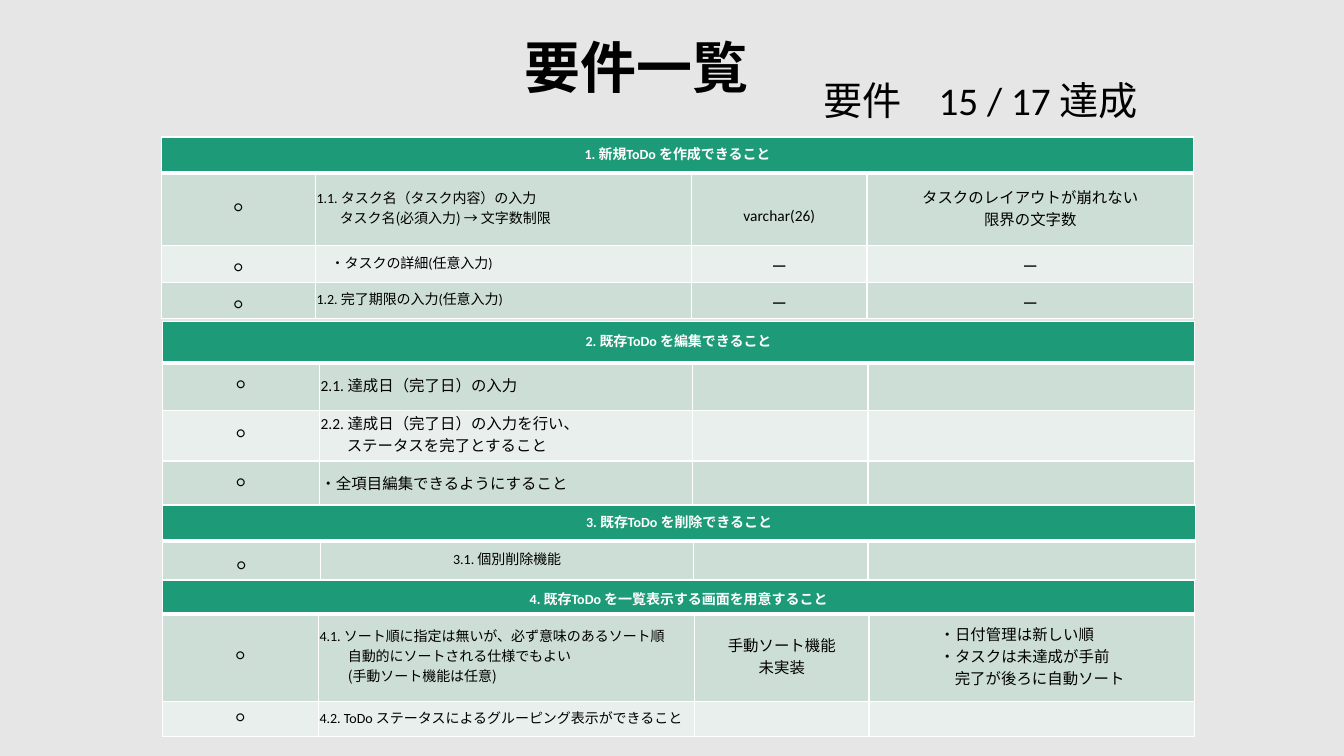
from pptx import Presentation
from pptx.dml.color import RGBColor
from pptx.enum.text import MSO_ANCHOR as Anchor, PP_ALIGN as Align
from pptx.oxml import parse_xml
from pptx.oxml.ns import nsdecls
from pptx.util import Inches, Pt

LATIN, JAPANESE = "Calibri", "Noto Sans CJK JP"
GREEN, BANDS = "1D9A78", ("CDDED6", "E8EFEC")
WHITE, BLACK = "FFFFFF", "000000"

TITLE = "要件一覧"
SUMMARY = "要件\t15 / 17 達成"


def entry(*lines, size=11, fonts=(LATIN,), align=Align.LEFT,
          anchor=Anchor.MIDDLE, indents=(0,), top=0.01):
    """One cell; the last font and the last indent hold for further lines."""
    return dict(lines=lines, size=size, fonts=fonts, align=align,
                anchor=anchor, indents=indents, top=top)


def centered(*lines, **options):
    return entry(*lines, align=Align.CENTER, **options)


EMPTY = entry("")
DONE = centered("○")
DONE_LOW = centered("○", anchor=Anchor.BOTTOM)
DASH_ARIAL = centered("ー", fonts=("Arial",), anchor=Anchor.BOTTOM)
DASH = centered("ー", fonts=(JAPANESE,), anchor=Anchor.BOTTOM)

# Each section: heading, position, column widths, row heights, body rows
SECTIONS = [
    dict(heading="1. 新規ToDo を作成できること", at=(1.6, 1.36),
         columns=(1.53, 3.73, 1.74, 3.24), heights=(0.36, 0.72, 0.36, 0.36),
         rows=[
             (DONE,
              entry("1.1. タスク名（タスク内容）の入力", "タスク名(必須入力) → 文字数制限",
                    size=10, fonts=(LATIN, JAPANESE), indents=(0, 0.23)),
              centered("varchar(26)", top=0.19),
              centered("タスクのレイアウトが崩れない", "限界の文字数", fonts=(JAPANESE,))),
             (DONE_LOW, entry("・タスクの詳細(任意入力)", size=10, indents=(0.14,)),
              DASH_ARIAL, DASH_ARIAL),
             (DONE_LOW, entry("1.2. 完了期限の入力(任意入力)", size=10), DASH, DASH),
         ]),
    dict(heading="2. 既存ToDo を編集できること", at=(1.61, 3.19),
         columns=(1.56, 3.7, 1.74, 3.24), heights=(0.41, 0.47, 0.49, 0.47),
         rows=[
             (DONE, entry("2.1. 達成日（完了日）の入力"), EMPTY, EMPTY),
             (DONE, entry("2.2. 達成日（完了日）の入力を行い、", "ステータスを完了とすること",
                          indents=(0, 0.26)), EMPTY, EMPTY),
             (DONE, entry("・全項目編集できるようにすること"), EMPTY, EMPTY),
         ]),
    dict(heading="3. 既存ToDo を削除できること", at=(1.61, 5.01),
         columns=(1.57, 3.7, 1.73, 3.25), heights=(0.36, 0.38),
         rows=[(DONE_LOW, centered("3.1. 個別削除機能", size=10), EMPTY, EMPTY)]),
    dict(heading="4. 既存ToDo を一覧表示する画面を用意すること", at=(1.61, 5.76),
         columns=(1.55, 3.73, 1.73, 3.23), heights=(0.33, 0.87, 0.35),
         heading_anchor=Anchor.BOTTOM,
         rows=[
             (DONE,
              entry("4.1. ソート順に指定は無いが、必ず意味のあるソート順",
                    "自動的にソートされる仕様でもよい", "(手動ソート機能は任意)",
                    size=10, fonts=(LATIN, JAPANESE), indents=(0, 0.28)),
              centered("手動ソート機能", "未実装", fonts=(JAPANESE,)),
              entry("・日付管理は新しい順", "・タスクは未達成が手前", "完了が後ろに自動ソート",
                    fonts=(JAPANESE,), indents=(0.69, 0.69, 0.84))),
             (DONE, entry("4.2. ToDo ステータスによるグルーピング表示ができること", size=10),
              EMPTY, EMPTY),
         ]),
]


def color(value):
    return RGBColor.from_string(value)


def style_font(font, size, name=LATIN, fill=BLACK, bold=False):
    font.size, font.name, font.bold = Pt(size), name, bold
    font.color.rgb = color(fill)


def set_borders(cell, top, bottom):
    properties = cell._tc.get_or_add_tcPr()
    for side, points in (("L", 1), ("R", 1), ("T", top), ("B", bottom)):
        properties.append(parse_xml(
            f'<a:ln{side} {nsdecls("a")} w="{Pt(points)}"><a:solidFill>'
            f'<a:srgbClr val="{WHITE}"/></a:solidFill></a:ln{side}>'))


def fill_cell(cell, content, fill, text_color=BLACK, bold=False):
    cell.fill.solid()
    cell.fill.fore_color.rgb = color(fill)
    cell.margin_left = cell.margin_right = Inches(0.01)
    cell.margin_top, cell.margin_bottom = Inches(content["top"]), Inches(0.05)
    cell.vertical_anchor = content["anchor"]
    frame = cell.text_frame
    fonts, indents = content["fonts"], content["indents"]
    for index, line in enumerate(content["lines"]):
        paragraph = frame.add_paragraph() if index else frame.paragraphs[0]
        paragraph.alignment = content["align"]
        indent = indents[min(index, len(indents) - 1)]
        if indent:
            paragraph._p.get_or_add_pPr().set("marL", str(Inches(indent)))
        if not line:
            paragraph.font.size = Pt(content["size"])
            continue
        run = paragraph.add_run()
        run.text = line
        name = fonts[min(index, len(fonts) - 1)]
        style_font(run.font, content["size"], name, text_color, bold)


def add_section(slide, section):
    columns, heights = section["columns"], section["heights"]
    left, top = section["at"]
    table = slide.shapes.add_table(
        len(heights), len(columns), Inches(left), Inches(top),
        Inches(sum(columns)), Inches(sum(heights))).table
    table.first_row = table.horz_banding = False
    for column, width in zip(table.columns, columns):
        column.width = Inches(width)
    for row, height in zip(table.rows, heights):
        row.height = Inches(height)

    # Heading across all columns, with a thick rule below
    for cell in table.rows[0].cells:
        set_borders(cell, top=1, bottom=3)
    heading = table.cell(0, 0)
    heading.merge(table.cell(0, len(columns) - 1))
    anchor = section.get("heading_anchor", Anchor.MIDDLE)
    fill_cell(heading, centered(section["heading"], size=10, anchor=anchor),
              GREEN, WHITE, bold=True)

    # Banded body rows
    for number, contents in enumerate(section["rows"]):
        for cell, content in zip(table.rows[number + 1].cells, contents):
            set_borders(cell, top=1 if number else 3, bottom=1)
            fill_cell(cell, content, BANDS[number % 2])


def main():
    presentation = Presentation()
    presentation.slide_width, presentation.slide_height = Inches(13.33), Inches(7.5)
    slide = presentation.slides.add_slide(presentation.slide_layouts[5])
    slide.background.fill.solid()
    slide.background.fill.fore_color.rgb = color("E7E6E6")

    # Title
    title = slide.shapes.title
    title.left, title.top = Inches(5.1), Inches(0.27)
    title.width, title.height = Inches(2.53), Inches(0.77)
    title.text_frame.word_wrap = False
    paragraph = title.text_frame.paragraphs[0]
    paragraph.alignment = Align.LEFT
    run = paragraph.add_run()
    run.text = TITLE
    style_font(run.font, 40, bold=True)

    # Requirement tables
    for section in SECTIONS:
        add_section(slide, section)

    # Achievement count, with a tab after its label
    summary = slide.shapes.add_textbox(
        Inches(8.07), Inches(0.71), Inches(3.63), Inches(0.57))
    summary.text_frame.word_wrap = True
    paragraph = summary.text_frame.paragraphs[0]
    paragraph._p.get_or_add_pPr().append(parse_xml(
        f'<a:tabLst {nsdecls("a")}><a:tab pos="{Inches(1.14)}" algn="l"/></a:tabLst>'))
    run = paragraph.add_run()
    run.text = SUMMARY
    style_font(run.font, 28)

    presentation.save("out.pptx")


if __name__ == "__main__":
    main()
